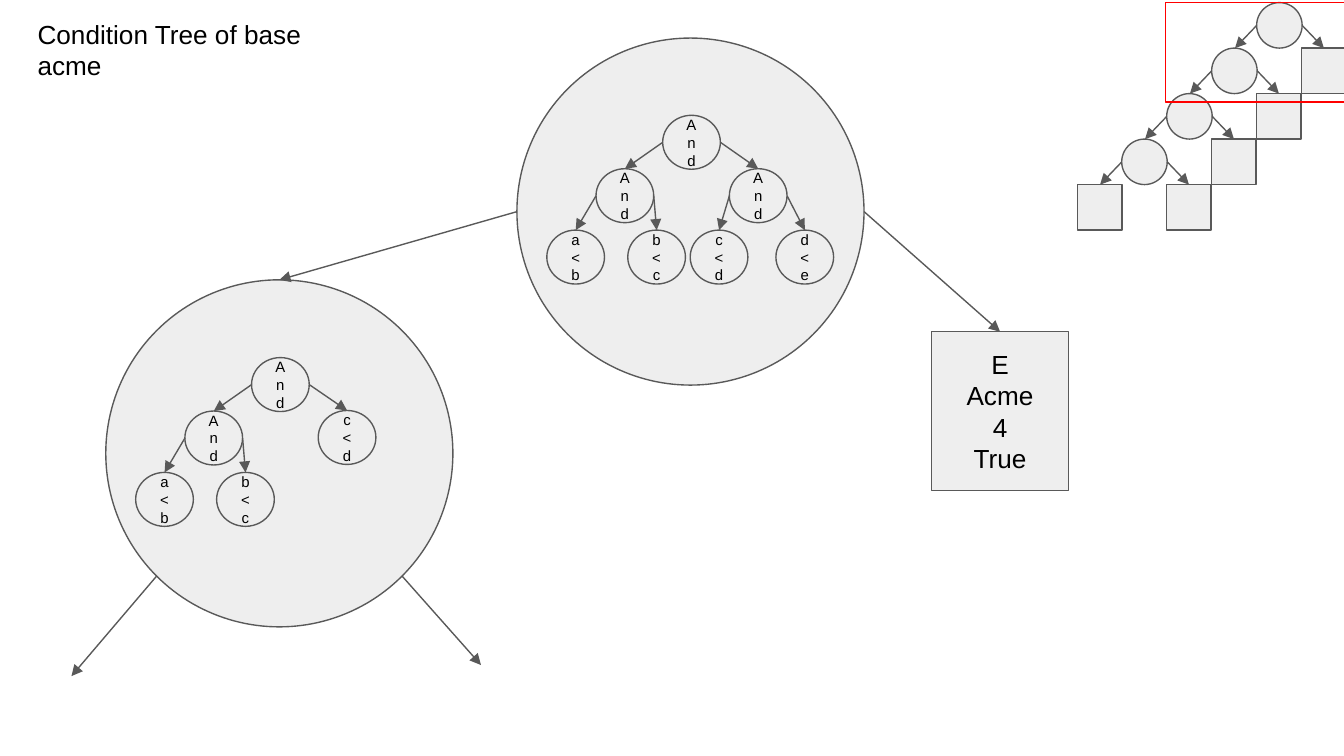
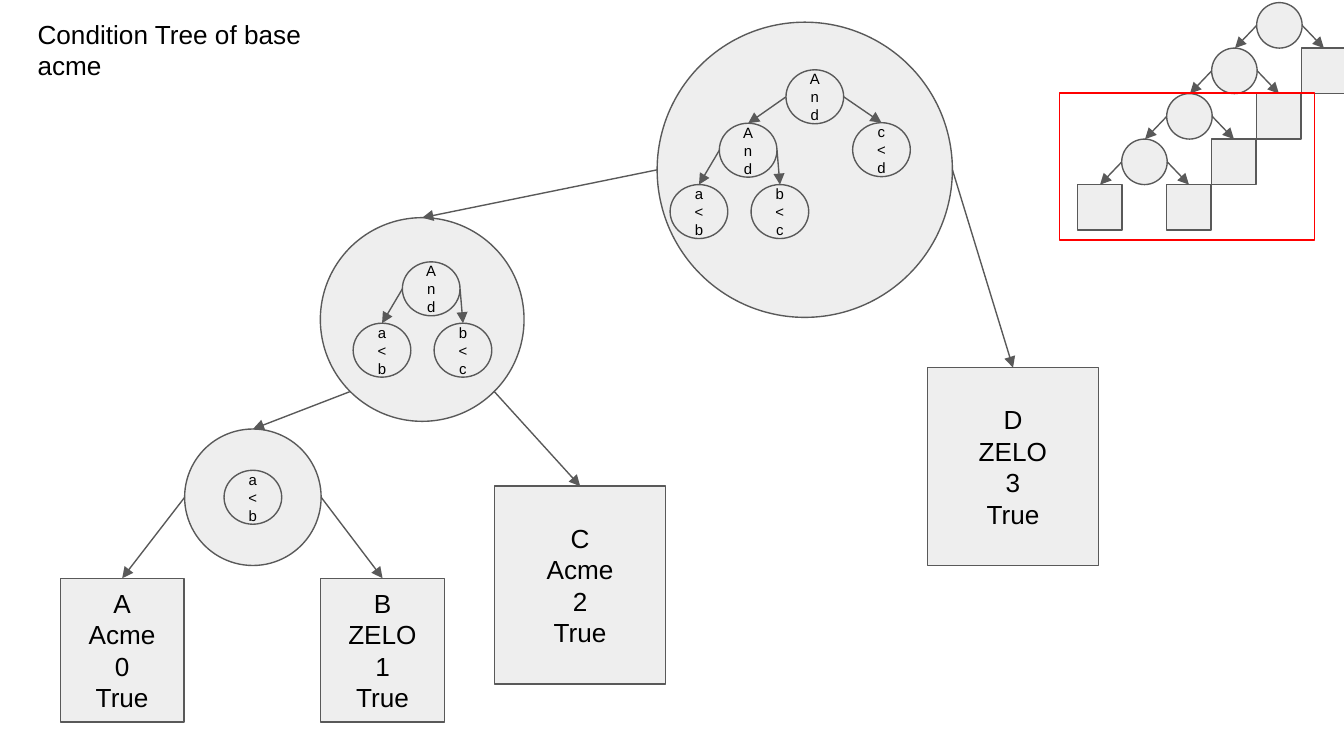
from math import sqrt

from lxml import etree
from pptx import Presentation
from pptx import util as u
from pptx.dml import color
from pptx.enum import shapes, text
from pptx.oxml import ns

# Shared look; all lengths are centimetres
COLOURS = {"fill": "EEEEEE", "line": "595959", "text": "000000", "focus": "FF0000"}
FONT = "Arial"
TITLE = "Condition Tree of base acme"
INSET = 0.25
NODE_WIDTH, NODE_HEIGHT = 1.09, 1.02

# Condition trees: (label, [(dx, dy, subtree), ...]), offsets between centres
A_B, B_C, C_D, D_E = [(label, []) for label in ("a<b", "b<c", "c<d", "d<e")]
AND_AB_BC = ("And", [(-0.93, 1.16, A_B), (0.6, 1.16, B_C)])
AND_CD_DE = ("And", [(-0.74, 1.16, C_D), (0.88, 1.16, D_E)])
THREE_CONDITIONS = ("And", [(-1.26, 1.01, AND_AB_BC), (1.26, 1.0, C_D)])
FOUR_CONDITIONS = ("And", [(-1.26, 1.01, AND_AB_BC), (1.26, 1.01, AND_CD_DE)])


def rgb(name):
    return color.RGBColor.from_string(COLOURS[name])


def write(shape, content, size, alignment, anchor):
    frame = shape.text_frame
    frame.text = content
    frame.word_wrap = True
    frame.vertical_anchor = anchor
    frame.margin_left = frame.margin_right = u.Cm(INSET)
    frame.margin_top = frame.margin_bottom = u.Cm(INSET)
    for paragraph in frame.paragraphs:
        paragraph.alignment = alignment
        for run in paragraph.runs:
            run.font.name = FONT
            run.font.size = u.Pt(size)
            run.font.color.rgb = rgb("text")


def add_box(slide, kind, left, top, width, height, fill="fill", line="line"):
    shape = slide.shapes.add_shape(
        kind, u.Cm(left), u.Cm(top), u.Cm(width), u.Cm(height))
    shape.shadow.inherit = False
    if fill:
        shape.fill.solid()
        shape.fill.fore_color.rgb = rgb(fill)
    else:
        shape.fill.background()
    shape.line.color.rgb = rgb(line)
    shape.line.width = u.Pt(0.75)
    return shape


def add_ellipse(slide, x, y, width, height):
    """Ellipse around the centre x, y."""
    return add_box(slide, shapes.MSO_SHAPE.OVAL,
                   x - width / 2, y - height / 2, width, height)


def add_arrow(slide, start, end):
    arrow = slide.shapes.add_connector(
        shapes.MSO_CONNECTOR.STRAIGHT, *[u.Cm(value) for value in (*start, *end)])
    arrow.line.color.rgb = rgb("line")
    arrow.line.width = u.Pt(0.75)
    etree.SubElement(arrow.line._get_or_add_ln(), ns.qn("a:tailEnd"), type="triangle")
    etree.SubElement(arrow._element.spPr, ns.qn("a:effectLst"))


def add_condition(slide, x, y, tree):
    """Draw a condition node and, below it, its subtrees."""
    label, children = tree
    node = add_ellipse(slide, x, y, NODE_WIDTH, NODE_HEIGHT)
    write(node, label, 8, text.PP_ALIGN.CENTER, text.MSO_ANCHOR.MIDDLE)
    for dx, dy, subtree in children:
        add_condition(slide, x + dx, y + dy, subtree)
        side = NODE_WIDTH / 2 if dx > 0 else -NODE_WIDTH / 2
        add_arrow(slide, (x + side, y), (x + dx, y + dy - NODE_HEIGHT / 2))


def add_stage(slide, x, y, diameter, root, tree):
    """Large circle with a condition tree; returns its arrow points."""
    add_ellipse(slide, x, y, diameter, diameter)
    add_condition(slide, *root, tree)
    radius = diameter / 2
    diagonal = radius / sqrt(2)
    return {
        "top": (x, y - radius),
        "left": (x - radius, y),
        "right": (x + radius, y),
        "lower left": (x - diagonal, y + diagonal),
        "lower right": (x + diagonal, y + diagonal),
    }


def add_result(slide, left, top, width, height, *lines):
    """Result box; returns the middle of its top edge."""
    box = add_box(slide, shapes.MSO_SHAPE.RECTANGLE, left, top, width, height)
    write(box, "\n".join(lines), 14, text.PP_ALIGN.CENTER, text.MSO_ANCHOR.MIDDLE)
    return left + width / 2, top


def add_overview(slide, focus):
    """Small map of the whole tree, with the part on this slide framed."""
    levels, step, radius, square = 4, 0.86, 0.43, 0.84
    for level in range(levels):
        x, y = 24.18 - 0.85 * level, 0.48 + step * level
        add_ellipse(slide, x, y, 2 * radius, 2 * radius)
        for side in (-1, 1):
            end = (x + side * square, y + radius)
            if side == 1 or level == levels - 1:
                add_box(slide, shapes.MSO_SHAPE.RECTANGLE,
                        end[0] - square / 2, end[1], square, step)
            add_arrow(slide, (x + side * radius, y), end)
    add_box(slide, shapes.MSO_SHAPE.RECTANGLE, *focus, fill=None, line="focus")


def add_title(slide):
    box = slide.shapes.add_textbox(u.Cm(0.46), u.Cm(0.1), u.Cm(6.78), u.Cm(1.14))
    write(box, TITLE, 14, text.PP_ALIGN.LEFT, text.MSO_ANCHOR.TOP)


def build_upper_tree(slide):
    first = add_stage(slide, 13.05, 4.0, 6.56, (13.07, 2.69), FOUR_CONDITIONS)
    second = add_stage(slide, 5.28, 8.57, 6.56, (5.3, 7.27), THREE_CONDITIONS)
    result = add_result(slide, 17.6, 6.27, 2.6, 3.0, "E", "Acme", "4", "True")
    add_arrow(slide, first["left"], second["top"])
    add_arrow(slide, first["right"], result)
    # Branches that go on in the lower tree
    add_arrow(slide, second["lower right"], (9.09, 12.57))
    add_arrow(slide, second["lower left"], (1.35, 12.78))
    add_overview(slide, (22.03, 0.05, 3.43, 1.88))


def build_lower_tree(slide):
    first = add_stage(slide, 15.21, 3.21, 5.58, (15.4, 1.83), THREE_CONDITIONS)
    second = add_stage(slide, 7.98, 6.04, 3.85, (8.15, 5.46), AND_AB_BC)
    third = add_stage(slide, 4.78, 9.4, 2.58, (4.78, 9.4), A_B)
    large, small = (3.23, 3.74), (2.34, 2.72)
    result_d = add_result(slide, 17.53, 6.95, *large, "D", "ZELO", "3", "True")
    result_c = add_result(slide, 9.35, 9.19, *large, "C", "Acme", "2", "True")
    result_a = add_result(slide, 1.14, 10.93, *small, "A", "Acme", "0", "True")
    result_b = add_result(slide, 6.06, 10.93, *small, "B", "ZELO", "1", "True")
    for start, end in (
        (first["left"], second["top"]), (first["right"], result_d),
        (second["lower left"], third["top"]), (second["lower right"], result_c),
        (third["left"], result_a), (third["right"], result_b),
    ):
        add_arrow(slide, start, end)
    add_overview(slide, (20.03, 1.76, 4.82, 2.78))


def main():
    presentation = Presentation()
    presentation.slide_width = u.Cm(25.4)
    presentation.slide_height = u.Cm(14.29)
    blank = presentation.slide_layouts[6]
    for build in (build_upper_tree, build_lower_tree):
        slide = presentation.slides.add_slide(blank)
        build(slide)
        add_title(slide)
    presentation.save("out.pptx")


main()
